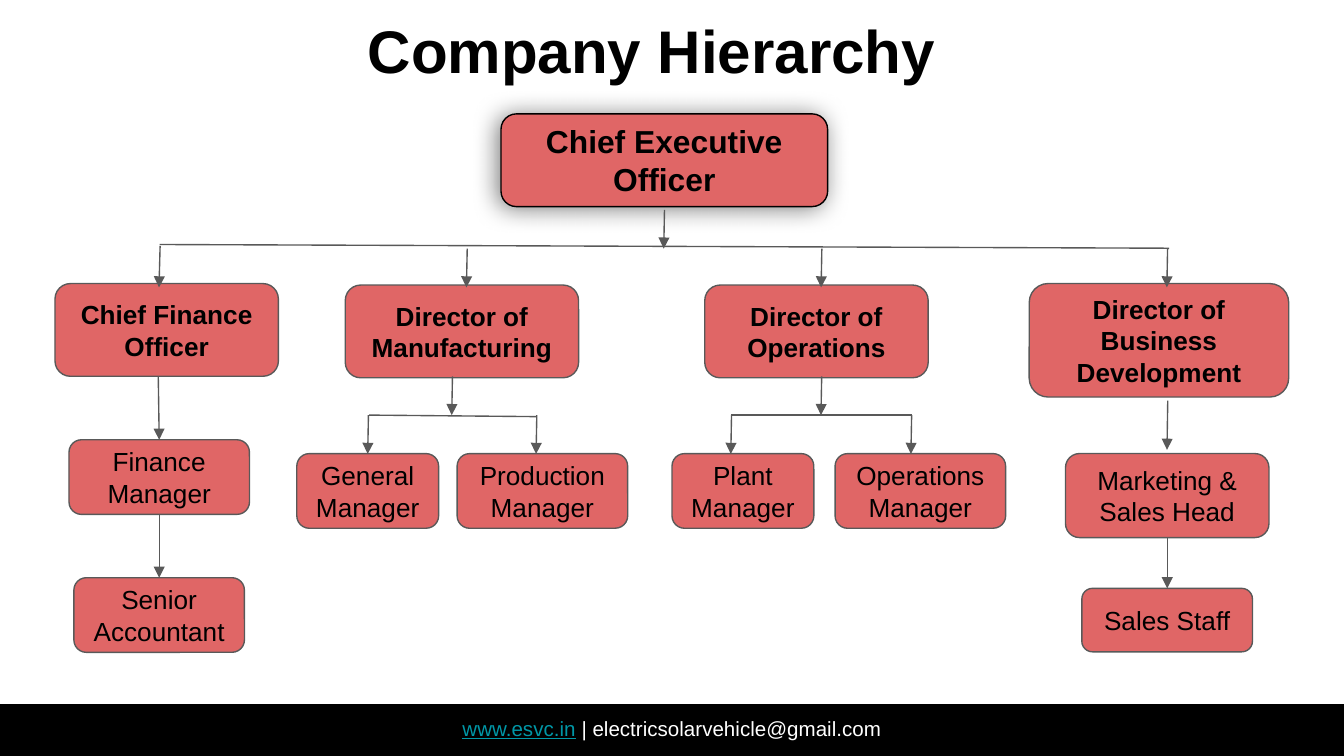
import lxml.etree
import pptx
import pptx.dml.color
import pptx.enum.shapes
import pptx.enum.text
import pptx.oxml.ns
import pptx.util

Pt = pptx.util.Pt
qn = pptx.oxml.ns.qn
SHAPES = pptx.enum.shapes.MSO_SHAPE
STRAIGHT = pptx.enum.shapes.MSO_CONNECTOR.STRAIGHT
TOP = pptx.enum.text.MSO_ANCHOR.TOP
MIDDLE = pptx.enum.text.MSO_ANCHOR.MIDDLE
BLACK, WHITE, RED, GRAY, TEAL = "000000", "FFFFFF", "E06666", "595959", "0097A7"
TOP_SIDE, BOTTOM_SIDE = 0, 2
INSET = 7.2


def color(value):
    return pptx.dml.color.RGBColor.from_string(value)


def write(shape, text, size, text_color=BLACK, bold=False, underline=False,
          anchor=MIDDLE, top_inset=INSET):
    """Add one run to the first paragraph of the shape."""
    frame = shape.text_frame
    frame.word_wrap = True
    frame.vertical_anchor = anchor
    frame.margin_left = frame.margin_right = frame.margin_bottom = Pt(INSET)
    frame.margin_top = Pt(top_inset)
    para = frame.paragraphs[0]
    para.alignment = pptx.enum.text.PP_ALIGN.CENTER
    span = para.add_run()
    span.text = text
    span.font.name = "Arial"
    span.font.size = Pt(size)
    span.font.bold = bold
    span.font.underline = underline
    span.font.color.rgb = color(text_color)


deck = pptx.Presentation()
deck.slide_width, deck.slide_height = Pt(720), Pt(405)
page = deck.slides.add_slide(deck.slide_layouts[6])

# Footer bar with the contact line
footer = page.shapes.add_shape(SHAPES.RECTANGLE, Pt(0), Pt(377.2), Pt(720), Pt(27.8))
footer.shadow.inherit = False
footer.fill.solid()
footer.fill.fore_color.rgb = color(BLACK)
footer.line.fill.background()
for text, text_color in [("www.esvc.in", TEAL), (" ", BLACK),
                         ("| electricsolarvehicle@gmail.com", WHITE)]:
    write(footer, text, 11, text_color, underline=text_color == TEAL,
          anchor=TOP, top_inset=6.2)

# Title
title = page.shapes.add_textbox(Pt(159), Pt(0), Pt(380), Pt(45.4))
write(title, "Company Hierarchy", 32.2, bold=True, anchor=TOP)

# Sizes and centre lines shared by the boxes
NARROW, MEDIUM, WIDE = 76, 91.4, 119.7
LEADER_HEIGHT, STAFF_HEIGHT = 49.7, 40
FINANCE_X, SALES_X = 85.3, 625.3

# Each row: top, height, text size, bold, then its boxes as text, centre x, width
rows = [
    (61, LEADER_HEIGHT, 17, True, [("Chief Executive Officer", 355.9, 175)]),
    (151.9, LEADER_HEIGHT, 14, True, [("Chief Finance Officer", 89.3, WIDE)]),
    (152.7, LEADER_HEIGHT, 14, True, [("Director of Manufacturing", 247.5, 125),
                                      ("Director of Operations", 437.4, WIDE)]),
    (151.9, 60.8, 14, True, [("Director of Business Development", 620.9, 139)]),
    (235.6, STAFF_HEIGHT, 14, False, [("Finance Manager", FINANCE_X, 96.7)]),
    (243, STAFF_HEIGHT, 14, False, [("General Manager", 197, NARROW),
                                    ("Production Manager", 290.6, MEDIUM),
                                    ("Plant Manager", 398, NARROW),
                                    ("Operations Manager", 493.1, MEDIUM)]),
    (243, 45, 14, False, [("Marketing & Sales Head", SALES_X, 109)]),
    (309.5, STAFF_HEIGHT, 14, False, [("Senior Accountant", FINANCE_X, MEDIUM)]),
    (315.2, 34, 14, False, [("Sales Staff", SALES_X, MEDIUM)]),
]
boxes = {}
for top, height, size, bold, members in rows:
    for text, center, width in members:
        box = page.shapes.add_shape(SHAPES.ROUNDED_RECTANGLE, Pt(center - width / 2),
                                    Pt(top), Pt(width), Pt(height))
        box.shadow.inherit = False
        box.fill.solid()
        box.fill.fore_color.rgb = color(RED)
        box.line.color.rgb = color(GRAY)
        box.line.width = Pt(0.75)
        write(box, text, size, bold=bold)
        boxes[text] = box

# The chief executive stands out by a black outline and a soft shadow
chief = boxes["Chief Executive Officer"]
chief.line.color.rgb = color(BLACK)
effects = chief._element.spPr.find(qn("a:effectLst"))
shadow = lxml.etree.SubElement(effects, qn("a:outerShdw"), blurRad=str(Pt(13.5)),
                               dist=str(Pt(2.2)), dir=str(161 * 60000),
                               algn="bl", rotWithShape="0")
shade = lxml.etree.SubElement(shadow, qn("a:srgbClr"), val=BLACK)
lxml.etree.SubElement(shade, qn("a:alpha"), val="51000")

# Every line becomes: start point, end point, has arrowhead
lines = []

# A branch is a bar, one arrow down to it, and arrows down from it.
# Each arrow has the same height and leans slightly to the left.
DROP, LEAN = 20.8, 0.4
branches = [
    # level, bar start, bar end, x of the arrow in, x of the arrows out
    (133.2, (85.5, 131), (626.3, 133), 356, [250.3, 440.3, 625.5]),
    (222.4, (197.8, 222.4), (287.5, 223.2), 242.4, [197.4, 287.6]),
    (222.4, (391.5, 222.4), (488.7, 222.4), 440.2, [391.9, 488.4]),
]
for level, bar_start, bar_end, x_in, all_x_out in branches:
    lines.append((bar_start, bar_end, False))
    lines.append(((x_in, level - DROP), (x_in - LEAN, level), True))
    for x_out in all_x_out:
        lines.append(((x_out, level), (x_out - LEAN, level + DROP), True))

# Single arrows: into the finance officer, and above the sales head
lines.append(((85.8, 131.8), (85.2, 154), True))
lines.append(((625.6, 214.6), (625.2, 241), True))

connectors = []
for (start_x, start_y), (end_x, end_y), has_arrow in lines:
    connector = page.shapes.add_connector(STRAIGHT, Pt(start_x), Pt(start_y),
                                          Pt(end_x), Pt(end_y))
    connectors.append((connector, has_arrow))

# Arrows joined to boxes at the middle of their sides
joined = [("Finance Manager", "Senior Accountant"),
          ("Marketing & Sales Head", "Sales Staff"),
          (None, "Finance Manager")]
for upper, lower in joined:
    # The finance officer's arrow starts left of the middle of its box
    connector = page.shapes.add_connector(STRAIGHT, Pt(84.8), Pt(201.6),
                                          Pt(FINANCE_X), Pt(235.6))
    if upper:
        connector.begin_connect(boxes[upper], BOTTOM_SIDE)
    connector.end_connect(boxes[lower], TOP_SIDE)
    connectors.append((connector, True))

# Shared look of all lines
for connector, has_arrow in connectors:
    connector.line.color.rgb = color(GRAY)
    connector.line.width = Pt(0.75)
    properties = connector._element.spPr
    if has_arrow:
        outline = properties.find(qn("a:ln"))
        lxml.etree.SubElement(outline, qn("a:tailEnd"), type="triangle")
    lxml.etree.SubElement(properties, qn("a:effectLst"))

deck.save("out.pptx")
